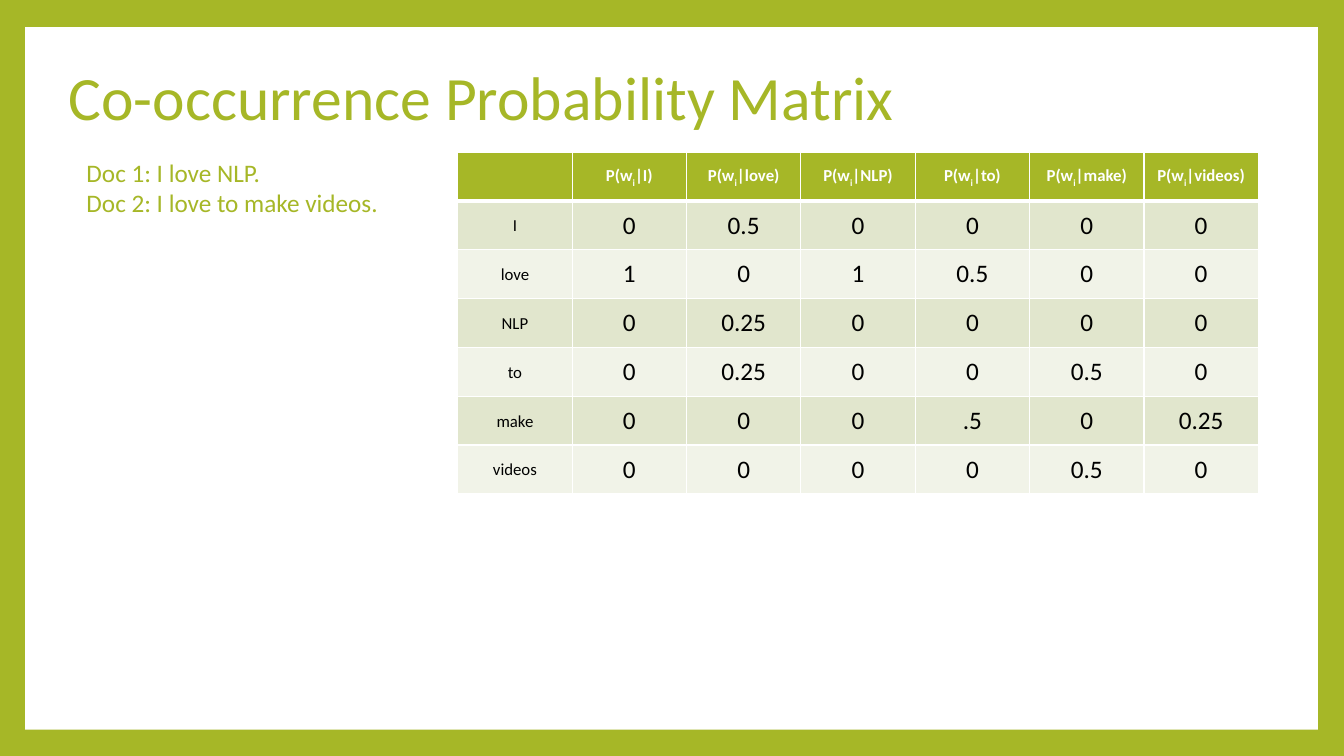
from lxml.etree import SubElement
from pptx import Presentation
from pptx.dml.color import RGBColor
from pptx.enum.shapes import MSO_SHAPE as Shape
from pptx.enum.text import MSO_ANCHOR as Anchor, PP_ALIGN as Align
from pptx.oxml.ns import qn
from pptx.util import Inches, Pt

TITLE = "Co-occurrence Probability Matrix"
DOCUMENTS = ["Doc 1: I love NLP.", "Doc 2: I love to make videos."]
WORDS = ["I", "love", "NLP", "to", "make", "videos"]
PROBABILITIES = [
    ["0", "0.5", "0", "0", "0", "0"],
    ["1", "0", "1", "0.5", "0", "0"],
    ["0", "0.25", "0", "0", "0", "0"],
    ["0", "0.25", "0", "0", "0.5", "0"],
    ["0", "0", "0", ".5", "0", "0.25"],
    ["0", "0", "0", "0", "0.5", "0"],
]
GREEN, WHITE, BLACK = "A6B727", "FFFFFF", "000000"
BANDS = ["E1E6CD", "F1F3E8"]
FONT = "Calibri"
SIZE = (13.33, 7.5)
PANEL = (0.25, 0.27, 12.82, 6.97)
TITLE_BOX = (0.58, 0.56, 10.8, 0.87)
DOCUMENT_BOX = (0.76, 1.51, 6.67, 0.71)
TABLE_BOX = (4.54, 1.51, 7.94, 3.39)


def color(value):
    return RGBColor.from_string(value)


def box(lengths):
    return [Inches(length) for length in lengths]


def paint(fill, value):
    fill.solid()
    fill.fore_color.rgb = color(value)


def format_runs(paragraph, size, value, bold=False):
    for run in paragraph.runs:
        run.font.name, run.font.size, run.font.bold = FONT, Pt(size), bold
        run.font.color.rgb = color(value)


def add_border(cell, side, width):
    line = SubElement(cell._tc.get_or_add_tcPr(), qn(f"a:{side}"), w=str(Pt(width)))
    SubElement(SubElement(line, qn("a:solidFill")), qn("a:srgbClr"), val=WHITE)


def write_heading(paragraph, word):
    for text in ("P(w", "i", f"|{word})"):
        paragraph.add_run().text = text
    paragraph.runs[1]._r.get_or_add_rPr().set("baseline", "-25000")


def fill_cell(cell, row, column):
    for side, width in (("lnL", 1), ("lnR", 1),
                        ("lnT", 3 if row == 1 else 1), ("lnB", 3 if row == 0 else 1)):
        add_border(cell, side, width)
    paint(cell.fill, BANDS[(row - 1) % 2] if row else GREEN)
    cell.vertical_anchor = Anchor.MIDDLE
    paragraph = cell.text_frame.paragraphs[0]
    paragraph.alignment = Align.CENTER
    is_label = row == 0 or column == 0
    if is_label:
        cell.margin_left = cell.margin_right = Inches(0.07)
        cell.margin_top = cell.margin_bottom = 0
        paragraph.line_spacing = 1.07
    if row and column:
        paragraph.text = PROBABILITIES[row - 1][column - 1]
    elif row:
        paragraph.text = WORDS[row - 1]
    elif column:
        write_heading(paragraph, WORDS[column - 1])
    format_runs(paragraph, 12 if is_label else 18, BLACK if row else WHITE, row == 0)


def add_matrix(slide):
    count = len(WORDS) + 1
    left, top, width, height = box(TABLE_BOX)
    table = slide.shapes.add_table(count, count, left, top, width, height).table
    for column in table.columns:
        column.width = width // count
    for row in table.rows:
        row.height = height // count
    for row in range(count):
        for column in range(count):
            fill_cell(table.cell(row, column), row, column)


def main():
    presentation = Presentation()
    presentation.slide_width, presentation.slide_height = box(SIZE)
    slide = presentation.slides.add_slide(presentation.slide_layouts[5])
    paint(slide.background.fill, GREEN)

    panel = slide.shapes.add_shape(Shape.RECTANGLE, *box(PANEL))
    panel.shadow.inherit = False
    paint(panel.fill, WHITE)
    panel.line.fill.background()

    title = slide.shapes.title
    panel._element.addnext(title._element)
    title.left, title.top, title.width, title.height = box(TITLE_BOX)
    title.text_frame.text = TITLE
    title.text_frame.vertical_anchor = Anchor.MIDDLE
    heading = title.text_frame.paragraphs[0]
    heading.alignment, heading.line_spacing = Align.LEFT, 0.9
    format_runs(heading, 44, GREEN)

    add_matrix(slide)

    documents = slide.shapes.add_textbox(*box(DOCUMENT_BOX)).text_frame
    documents.word_wrap = True
    documents.text = "\n".join(DOCUMENTS)
    for paragraph in documents.paragraphs:
        format_runs(paragraph, 18, GREEN)

    presentation.save("out.pptx")


if __name__ == "__main__":
    main()
